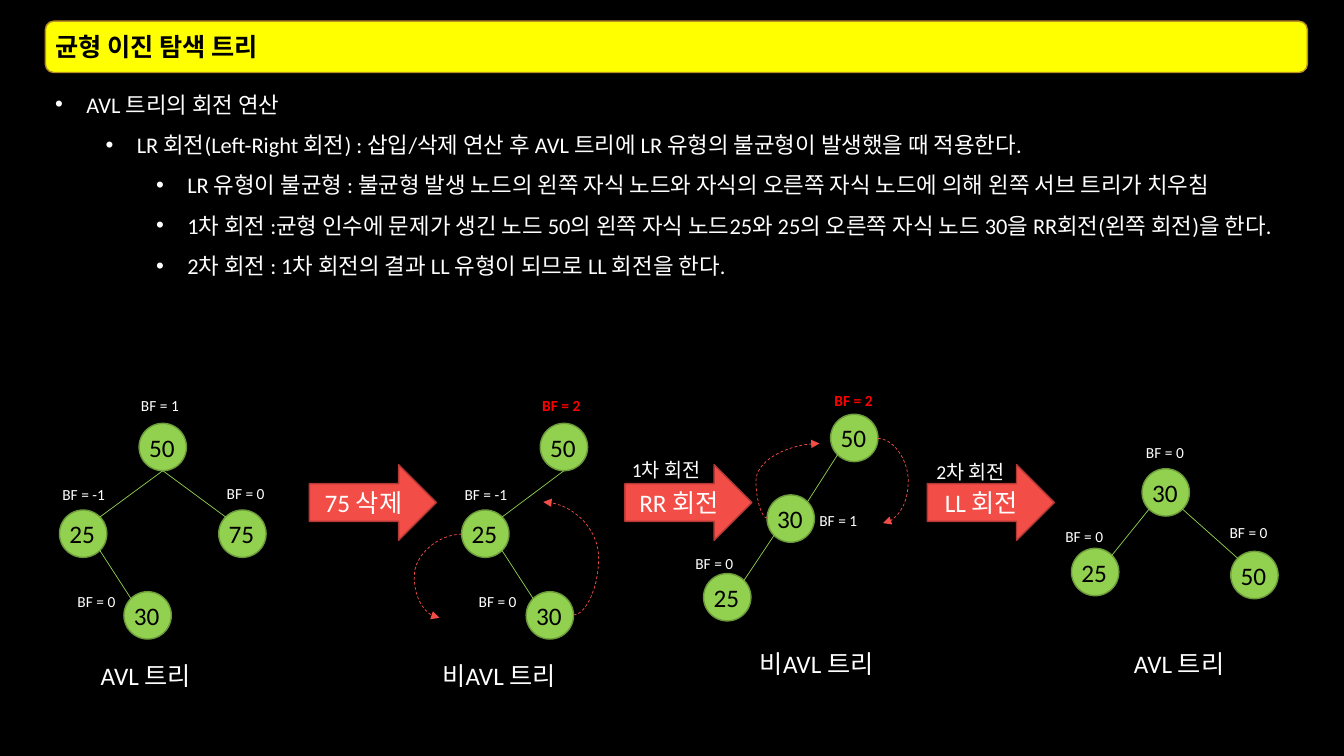
import pptx
import pptx.util
import pptx.dml.color
import pptx.enum.dml
import pptx.enum.shapes
import pptx.enum.text
import pptx.oxml
import pptx.oxml.ns
import lxml.etree

COLORS = {
    "black": "000000", "white": "FFFFFF", "yellow": "FFFF00", "gold": "B79024",
    "green": "92D050", "moss": "6C9A3B", "coral": "F34D47", "brick": "B43935", "red": "FF0000",
}
CELL = pptx.util.Inches(0.1)
NODE = 4.7
SITES = {"bottom": (0.5, 1), "NW": (0.15, 0.15), "NE": (0.85, 0.15), "SW": (0.15, 0.85), "SE": (0.85, 0.85)}
KINDS = pptx.enum.shapes.MSO_SHAPE
ANCHORS = pptx.enum.text.MSO_ANCHOR
ALIGN = pptx.enum.text.PP_ALIGN


def color(name):
    return pptx.dml.color.RGBColor.from_string(COLORS[name])


def write(para, text, size, ink, bold=False):
    span = para.add_run()
    span.text = text
    span.font.name = "Calibri"
    span.font.size = pptx.util.Pt(size)
    span.font.bold = bold
    span.font.color.rgb = color(ink)


deck = pptx.Presentation()
deck.slide_width, deck.slide_height = round(133.33 * CELL), 75 * CELL
slide = deck.slides.add_slide(deck.slide_layouts[5])
slide.background.fill.solid()
slide.background.fill.fore_color.rgb = color("black")

panels = []
for kind, grid, fill, line in [
    (KINDS.RECTANGLE, (4.5, 7.2, 127.6, 64.6), "black", "black"),
    (KINDS.ROUNDED_RECTANGLE, (4.5, 2.1, 125.2, 5.1), "yellow", "gold"),
    (KINDS.RIGHT_ARROW, (30.7, 46.1, 12.6, 7.5), "coral", "brick"),
    (KINDS.RIGHT_ARROW, (62, 46.1, 12.6, 7.5), "coral", "brick"),
    (KINDS.RIGHT_ARROW, (92, 46.1, 12.6, 7.5), "coral", "brick"),
]:
    panel = slide.shapes.add_shape(kind, *[round(cells * CELL) for cells in grid])
    panel.shadow.inherit = False
    panel.fill.solid()
    panel.fill.fore_color.rgb = color(fill)
    panel.line.color.rgb = color(line)
    panel.line.width = pptx.util.Pt(1)
    panels.append(panel)
body, bar, *arrows = panels

title = slide.shapes.title
bar._element.addnext(title._element)
title.left, title.top, title.width, title.height = bar.left, bar.top, bar.width, bar.height
title.text_frame.auto_size = pptx.enum.text.MSO_AUTO_SIZE.NONE
title.text_frame.vertical_anchor = ANCHORS.MIDDLE
title.text_frame.paragraphs[0].alignment = ALIGN.LEFT
write(title.text_frame.paragraphs[0], "균형 이진 탐색 트리", 18, "black", True)

body.text_frame.vertical_anchor = ANCHORS.TOP
for index, (level, text) in enumerate([
    (0, "AVL 트리의 회전 연산"),
    (1, "LR 회전(Left-Right 회전) : 삽입/삭제 연산 후 AVL 트리에 LR 유형의 불균형이 발생했을 때 적용한다."),
    (2, "LR 유형이 불균형 : 불균형 발생 노드의 왼쪽 자식 노드와 자식의 오른쪽 자식 노드에 의해 왼쪽 서브 트리가 치우침"),
    (2, "1차 회전 :균형 인수에 문제가 생긴 노드 50의 왼쪽 자식 노드25와 25의 오른쪽 자식 노드 30을 RR회전(왼쪽 회전)을 한다."),
    (2, "2차 회전 : 1차 회전의 결과 LL 유형이 되므로 LL 회전을 한다."),
]):
    para = body.text_frame.add_paragraph() if index else body.text_frame.paragraphs[0]
    para.level = level
    para.alignment = ALIGN.LEFT
    para.line_spacing = 1.5
    properties = para._p.get_or_add_pPr()
    properties.set("marL", str(round((3.1 + 5 * level) * CELL)))
    properties.set("indent", str(round(-3.1 * CELL)))
    lxml.etree.SubElement(properties, pptx.oxml.ns.qn("a:buFont"), typeface="Arial")
    lxml.etree.SubElement(properties, pptx.oxml.ns.qn("a:buChar"), char="•")
    write(para, text, 16, "white")

for arrow, text in zip(arrows, ["75 삭제", "RR 회전", "LL 회전"]):
    arrow.text_frame.vertical_anchor = ANCHORS.MIDDLE
    arrow.text_frame.paragraphs[0].alignment = ALIGN.CENTER
    write(arrow.text_frame.paragraphs[0], text, 18, "white")

trees = [
    ({"50": (13.8, 42), "25": (5.9, 50.6), "75": (21.7, 50.6), "30": (12.3, 58.7)},
     [("50", "bottom", "25", "NE"), ("50", "bottom", "75", "NW"), ("25", "SE", "30", "NW")]),
    ({"50": (53.6, 42), "25": (45.8, 50.6), "30": (52.2, 58.7)},
     [("50", "bottom", "25", "NE"), ("25", "SE", "30", "NW")]),
    ({"50": (82.4, 41.1), "30": (76.1, 49.1), "25": (69.8, 56.9)},
     [("50", "SW", "30", "NE"), ("30", "SW", "25", "NE")]),
    ({"50": (122.1, 54.7), "30": (113.3, 46.5), "25": (106.3, 54.4)},
     [("30", "SE", "50", "NW"), ("30", "SW", "25", "NE")]),
]
labels = []
links = []
for nodes, edges in trees:
    for key, (column, row) in nodes.items():
        group = slide.shapes.add_group_shape()
        circle = group.shapes.add_shape(
            KINDS.OVAL, *[round(cells * CELL) for cells in (column, row, NODE, NODE)])
        circle.shadow.inherit = False
        circle.fill.solid()
        circle.fill.fore_color.rgb = color("green")
        circle.line.color.rgb = color("moss")
        circle.line.width = pptx.util.Pt(1)
        labels.append((group.shapes, key, column, row + 0.35, 5.5, 4, 18, "black"))
    for parent, leave, child, arrive in edges:
        ends = [nodes[key][axis] + NODE * SITES[site][axis]
                for key, site in ((parent, leave), (child, arrive)) for axis in (0, 1)]
        links.append((ends, None))

links += [
    ((56.9, 61, 53.9, 49.8), 59.4),
    ((45.8, 53, 43.6, 61.3), 41.1),
    ((87.1, 43.5, 87.6, 51.9), 90.1),
    ((76.1, 51.4, 81.3, 44), 75),
]
for ends, bend in links:
    kind = pptx.enum.shapes.MSO_CONNECTOR.CURVE if bend else pptx.enum.shapes.MSO_CONNECTOR.STRAIGHT
    link = slide.shapes.add_connector(kind, *[round(cells * CELL) for cells in ends])
    link.line.color.rgb = color("coral" if bend else "green")
    link.line.width = pptx.util.Pt(0.5)
    if bend:
        link.line.dash_style = pptx.enum.dml.MSO_LINE.DASH
        lxml.etree.SubElement(link.line._get_or_add_ln(), pptx.oxml.ns.qn("a:tailEnd"), type="triangle")
        share = round((bend - ends[0]) / (ends[2] - ends[0]) * 100000)
        guides = link._element.spPr.find(".//" + pptx.oxml.ns.qn("a:avLst"))
        lxml.etree.SubElement(guides, pptx.oxml.ns.qn("a:gd"), name="adj1", fmla=f"val {share}")
    lxml.etree.SubElement(link._element.spPr, pptx.oxml.ns.qn("a:effectLst"))

for factor, column, row in [
    (1, 13, 38.8), (-1, 5.2, 47.6), (0, 21.5, 47.5), (0, 6.7, 58.2),
    (2, 52.8, 38.8), (-1, 45.1, 47.6), (0, 46.5, 58.2),
    (2, 81.8, 38.3), (1, 80.3, 50.2), (0, 68, 54.5),
    (0, 112.7, 43.5), (0, 104.7, 51.8), (0, 121, 51.4),
]:
    ink = "red" if factor == 2 else "white"
    labels.append((slide.shapes, f"BF = {factor}", column, row, 7.1, 2.9, 11, ink))
labels += [
    (slide.shapes, text, column, row, width, height, size, "white")
    for text, column, row, width, height, size in [
        ("AVL 트리", 9, 65, 12.5, 4, 18),
        ("비AVL 트리", 42.9, 65, 14.4, 4, 18),
        ("비AVL 트리", 74.4, 63.8, 14.4, 4, 18),
        ("AVL 트리", 111.5, 63.8, 12.5, 4, 18),
        ("1차 회전", 61.7, 44.9, 10.5, 3.4, 14),
        ("2차 회전", 91.9, 45.1, 10.5, 3.4, 14),
    ]
]
for shapes, text, column, row, width, height, size, ink in labels:
    box = shapes.add_textbox(*[round(cells * CELL) for cells in (column, row, width, height)])
    box.text_frame.word_wrap = True
    box.text_frame.auto_size = pptx.enum.text.MSO_AUTO_SIZE.SHAPE_TO_FIT_TEXT
    write(box.text_frame.paragraphs[0], text, size, ink, ink == "red")

deck.save("out.pptx")
